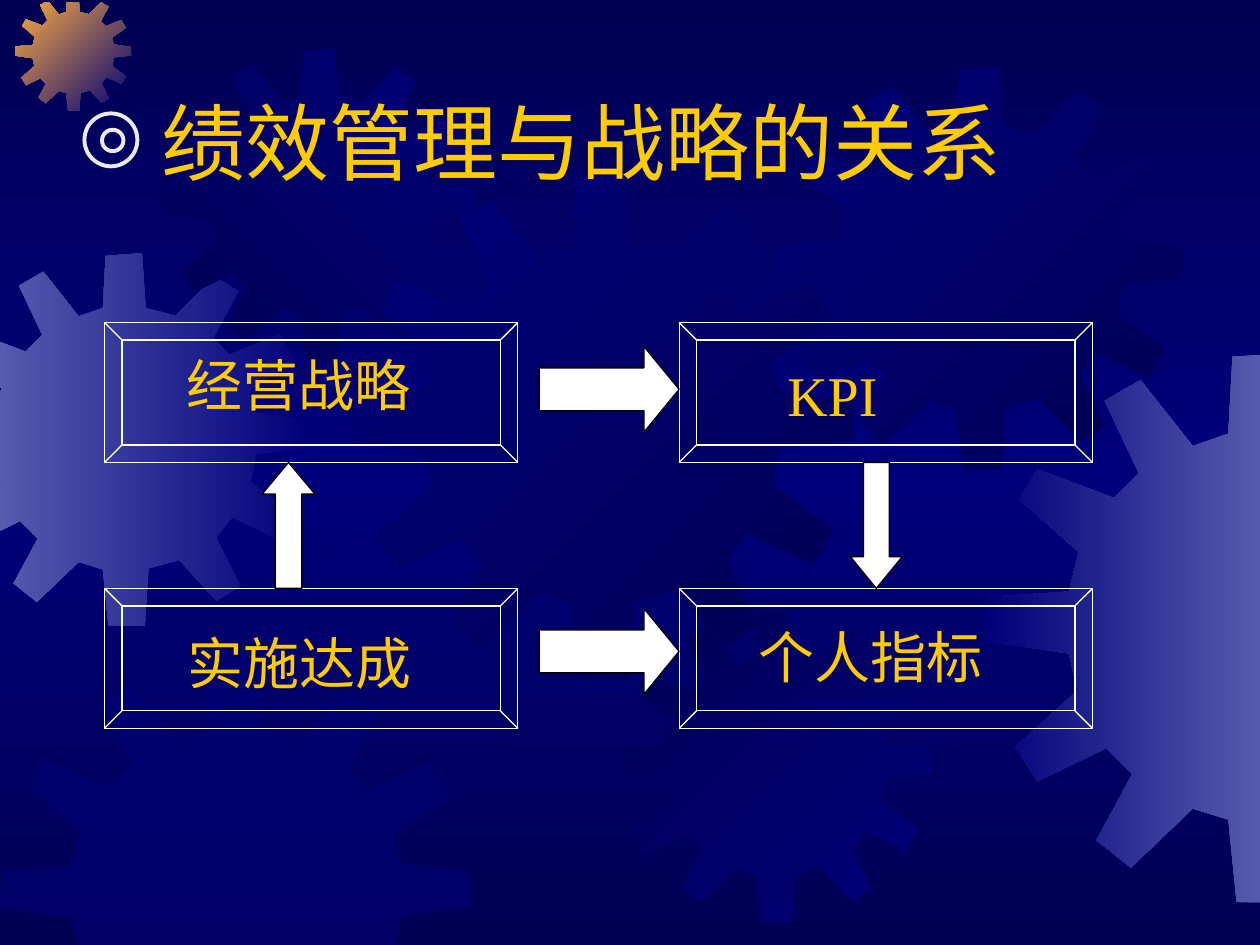
from copy import deepcopy
from lxml import etree
from pptx import Presentation
from pptx import util as u
from pptx.dml.color import RGBColor
from pptx.enum import shapes, text
from pptx.oxml.ns import qn

HUES = {"dark": "000054", "navy": "00007A", "haze": "555BAD", "amber": "FCAB40",
        "gold": "FFCC00", "ring": "EAEAEA", "white": "FFFFFF", "black": "000000"}
FONT = "Times New Roman"
KIND = shapes.MSO_SHAPE
FRAME = ((0, -0.01, 1), (0, 10.01, -1), (1, 0.02, 1), (1, 7.54, -1))
SPAN = 4.01
TEETH = [
    (2.55, 0.67), (2.23, 0.59), (2.19, 0), (1.8, 0.03), (1.77, 0.59), (1.51, 0.68),
    (1.13, 0.2), (0.87, 0.35), (1.12, 0.88), (0.94, 1.06), (0.38, 0.85), (0.25, 1.07),
    (0.68, 1.45), (0.61, 1.74), (0.01, 1.78), (0, 2.1), (0.61, 2.19), (0.67, 2.46),
    (0.22, 2.87), (0.38, 3.12), (0.88, 2.88), (1.07, 3.07), (0.81, 3.55), (1.06, 3.75),
    (1.51, 3.32), (1.77, 3.4), (1.83, 4), (2.22, 4.01), (2.26, 3.39), (2.59, 3.3),
    (2.99, 3.74), (3.25, 3.58), (2.99, 3.06), (3.16, 2.84), (3.68, 3.09), (3.84, 2.81),
    (3.36, 2.46), (3.42, 2.16), (4.01, 2.1), (4, 1.8), (3.41, 1.71), (3.35, 1.48),
    (3.83, 1.14), (3.67, 0.87), (3.13, 1.09), (2.96, 0.91), (3.23, 0.41), (2.97, 0.25)]


def clip(pts, axis, edge, sign):
    kept = []
    for a, b in zip(pts, pts[1:] + pts[:1]):
        da, db = sign * (a[axis] - edge), sign * (b[axis] - edge)
        if da >= 0:
            kept.append(a)
        if da * db < 0:
            t = da / (da - db)
            kept.append(tuple(p + t * (q - p) for p, q in zip(a, b)))
    return kept


class Deck:
    def __init__(self):
        self.prs = Presentation()
        self.prs.slide_width, self.prs.slide_height = u.Inches(10), u.Inches(7.5)
        self.slide = self.prs.slides.add_slide(self.prs.slide_layouts[5])
        self.items = self.slide.shapes

    def hue(self, name):
        return RGBColor.from_string(HUES[name])

    def blend(self, fill, first, last, angle):
        fill.gradient()
        fill.gradient_angle = angle
        for stop, name, spot in zip(fill.gradient_stops, (first, last), (0, 1)):
            stop.color.rgb = self.hue(name)
            stop.position = spot

    def back(self, edge, mid):
        fill = self.slide.background.fill
        self.blend(fill, edge, mid, 270)
        stops = self.slide._element.find(".//" + qn("a:gsLst"))
        stops.append(deepcopy(stops[0]))
        stops[1].set("pos", "50000")
        stops[2].set("pos", "100000")

    def gear(self, x, y, size, first, last=None, angle=0):
        k = size / SPAN
        pts = [(x + k * a, y + k * b) for a, b in TEETH]
        for rule in FRAME:
            pts = clip(pts, *rule)
        pts = [(u.Inches(a), u.Inches(b)) for a, b in pts]
        pen = self.items.build_freeform(*pts[0])
        pen.add_line_segments(pts[1:], close=True)
        shape = pen.convert_to_shape()
        shape.shadow.inherit = False
        shape.line.fill.background()
        if last:
            self.blend(shape.fill, first, last, angle)
        else:
            shape.fill.solid()
            shape.fill.fore_color.rgb = self.hue(first)
            tint = shape._element.spPr.find(".//" + qn("a:srgbClr"))
            etree.SubElement(tint, qn("a:alpha")).set("val", "50000")

    def shape(self, kind, x, y, w, h, line, fill=None, width=0.75, adj=()):
        shape = self.items.add_shape(kind, *map(u.Inches, (x, y, w, h)))
        shape.shadow.inherit = False
        for i, val in enumerate(adj):
            shape.adjustments[i] = val
        if fill:
            shape.fill.solid()
            shape.fill.fore_color.rgb = self.hue(fill)
        else:
            shape.fill.background()
        shape.line.color.rgb = self.hue(line)
        shape.line.width = u.Pt(width)

    def words(self, box, line, size, wrap):
        frame = box.text_frame
        frame.word_wrap = wrap
        frame.auto_size = text.MSO_AUTO_SIZE.NONE
        frame.vertical_anchor = text.MSO_ANCHOR.TOP
        para = frame.paragraphs[0]
        para.alignment = text.PP_ALIGN.LEFT
        run = para.add_run()
        run.text = line
        run.font.size = u.Pt(size)
        run.font.name = FONT
        run.font.color.rgb = self.hue("gold")

    def title(self, line, x, y, w, h):
        box = self.items.title
        box.left, box.top, box.width, box.height = map(u.Inches, (x, y, w, h))
        self.items._spTree.append(box._element)
        self.words(box, line, 48, True)

    def label(self, line, x, y, w, wrap=False):
        box = self.items.add_textbox(*map(u.Inches, (x, y, w, 0.64)))
        self.words(box, line, 32, wrap)


def main():
    deck = Deck()
    deck.back("dark", "navy")
    deck.gear(-0.49, 2.01, 2.96, "navy", "haze", 180)
    deck.gear(0.12, -0.04, 0.92, "navy", "amber", 135)
    deck.gear(1.3, 0.39, 2.48, "navy", "dark", 225)
    deck.gear(2.77, 1.39, 4.01, "dark", "navy", 135)
    deck.gear(0, 5.25, 3.74, "navy")
    deck.gear(4.91, 4.84, 2.48, "navy", "dark", 135)
    deck.gear(6.18, 0.53, 3.2, "dark", "navy", 135)
    deck.gear(7.82, 2.8, 4.37, "haze", "navy", 180)

    deck.title("绩效管理与战略的关系", 1.18, 0.67, 7.48, 0.9)
    for x, y, size in ((0.67, 0.9, 0.42), (0.81, 1.03, 0.17)):
        deck.shape(KIND.OVAL, x, y, size, size, "ring", width=2.25)

    for y in (2.56, 4.67):
        for x in (0.83, 5.39):
            deck.shape(KIND.BEVEL, x, y, 3.28, 1.11, "white", adj=(0.125,))
    deck.label("经营战略", 1.38, 2.73, 2.9, True)
    deck.label("KPI", 6.15, 2.81, 0.91)
    deck.label("实施达成", 1.39, 4.94, 1.98)
    deck.label("个人指标", 5.92, 4.89, 1.98)

    for kind, x, y, w, h, head in (
            (KIND.UP_ARROW, 2.08, 3.67, 0.42, 1, 0.6),
            (KIND.DOWN_ARROW, 6.75, 3.67, 0.41, 1, 0.61),
            (KIND.RIGHT_ARROW, 4.28, 2.75, 1.11, 0.68, 0.41),
            (KIND.RIGHT_ARROW, 4.28, 4.83, 1.11, 0.68, 0.41)):
        deck.shape(kind, x, y, w, h, "black", "white", adj=(0.5, head))
    deck.prs.save("out.pptx")


if __name__ == "__main__":
    main()
